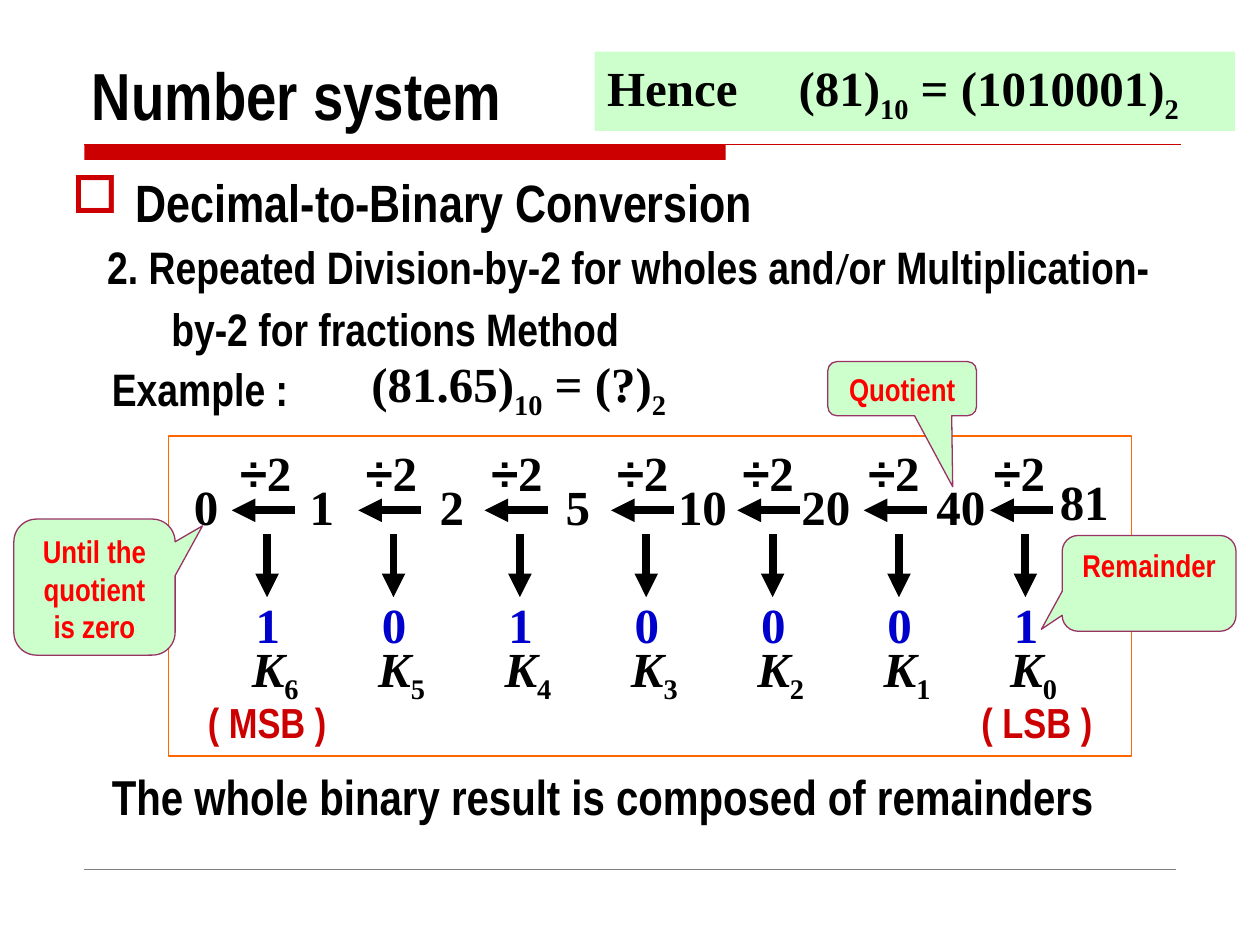
from lxml.etree import SubElement
from pptx import Presentation
from pptx.dml.color import RGBColor
from pptx.enum.shapes import MSO_CONNECTOR, MSO_SHAPE
from pptx.enum.text import MSO_ANCHOR, MSO_AUTO_SIZE, PP_ALIGN
from pptx.oxml.ns import qn
from pptx.util import Inches, Pt

BLACK = RGBColor(0x00, 0x00, 0x00)
WHITE = RGBColor(0xFF, 0xFF, 0xFF)
GRAY = RGBColor(0x80, 0x80, 0x80)
RED = RGBColor(0xCC, 0x00, 0x00)
BRIGHT_RED = RGBColor(0xFF, 0x00, 0x00)
BLUE = RGBColor(0x00, 0x00, 0xCC)
ORANGE = RGBColor(0xFF, 0x66, 0x00)
MINT = RGBColor(0xCC, 0xFF, 0xCC)
PLUM = RGBColor(0x99, 0x33, 0x66)
NARROW, SERIF, SANS = "Arial Narrow", "Times New Roman", "Arial"
MIDDLE, TOP = MSO_ANCHOR.MIDDLE, MSO_ANCHOR.TOP
LEFT, CENTER = PP_ALIGN.LEFT, PP_ALIGN.CENTER

prs = Presentation()
prs.slide_width, prs.slide_height = Inches(10), Inches(7.5)
s = prs.slides.add_slide(prs.slide_layouts[1])
shapes = s.shapes


def area(*shares):
    """Turn x, y (, width, height) in percent of the slide into lengths."""
    sides = (prs.slide_width, prs.slide_height) * 2
    return [int(side * share / 100) for side, share in zip(sides, shares)]


def write(sp, runs, size, color=BLACK, align=LEFT, anchor=MIDDLE, wrap=True):
    """Fill a shape with bold runs; "_" marks a subscript, "*" an italic."""
    tf = sp.text_frame
    tf.auto_size = MSO_AUTO_SIZE.NONE
    tf.word_wrap, tf.vertical_anchor = wrap, anchor
    p = tf.paragraphs[0]
    p.alignment = align
    for text, font, *marks in runs:
        r = p.add_run()
        r.text = text
        r.font.name, r.font.size, r.font.bold = font, Pt(size), True
        r.font.italic = "*" in marks
        r.font.color.rgb = color
        if "_" in marks:
            r.font._element.set("baseline", "-25000")
    return p


# Title and method placeholders
title, body = s.placeholders
title.left, title.top, title.width, title.height = area(6.3, 3.73, 87.5, 11.07)
write(title, [("Number system", NARROW)], 38, anchor=MSO_ANCHOR.BOTTOM)
body.left, body.top, body.width, body.height = area(7.5, 23.73, 86.2, 14.67)
p = write(body, [("2. Repeated Division-by-2 for wholes and", NARROW), ("/", SERIF),
                 ("or Multiplication-by-2 for fractions Method", NARROW)], 26, anchor=TOP)
pPr = p._p.get_or_add_pPr()
SubElement(pPr, qn("a:buNone"))
pPr.set("marL", str(Inches(0.51)))
pPr.set("indent", str(-Inches(0.51)))
p.line_spacing, p.space_before = 1.15, Pt(0)

# Section heading with a square bullet
sp = shapes.add_textbox(*area(4.7, 17.33, 87.5, 8))
p = write(sp, [("Decimal-to-Binary Conversion", NARROW)], 30, anchor=TOP)
pPr = p._p.get_or_add_pPr()
pPr.set("marL", str(Inches(0.51)))
pPr.set("indent", str(-Inches(0.51)))
SubElement(SubElement(pPr, qn("a:buClr")), qn("a:srgbClr")).set("val", str(RED))
SubElement(pPr, qn("a:buChar")).set("char", "□")

# Filled rectangles: header bar, division frame, answer
rects = []
for box, fill, line in [((6.7, 15.33, 50.9, 1.6), RED, None),
                        ((13.4, 46.13, 76.4, 33.87), WHITE, ORANGE),
                        ((47.2, 5.47, 50.8, 8.4), MINT, None)]:
    sp = shapes.add_shape(MSO_SHAPE.RECTANGLE, *area(*box))
    sp.shadow.inherit = False
    sp.fill.solid()
    sp.fill.fore_color.rgb = fill
    if line is None:
        sp.line.fill.background()
    else:
        sp.line.color.rgb, sp.line.width = line, Pt(0.75)
    rects.append(sp)
p = write(rects[-1], [("Hence\t(81)", SERIF), ("10", SERIF, "_"),
                      (" = (1010001)", SERIF), ("2", SERIF, "_")], 28)
tab = SubElement(SubElement(p._p.get_or_add_pPr(), qn("a:tabLst")), qn("a:tab"))
tab.set("pos", str(Inches(1.52)))
tab.set("algn", "l")

# Rules and division arrows: start, end, colour, weight, arrowhead
STEPS, STEP = 7, 10.03
lines = [((6.7, 15.33), (93.7, 15.33), RED, 0.75, False),
         ((6.7, 92), (93.3, 92), GRAY, 0.25, False)]
for i in range(STEPS):
    x = i * STEP
    lines.append(((23.4 + x, 54), (18.4 + x, 54), BLACK, 4.5, True))
    lines.append(((21.2 + x, 56.53), (21.2 + x, 63.2), BLACK, 4.5, True))
for start, end, color, weight, arrow in lines:
    c = shapes.add_connector(MSO_CONNECTOR.STRAIGHT, *area(*start), *area(*end))
    c.line.color.rgb, c.line.width = color, Pt(weight)
    if arrow:
        SubElement(c.line._get_or_add_ln(), qn("a:tailEnd")).set("type", "triangle")
    SubElement(c._element.spPr, qn("a:effectLst"))

# Division grid: centre, top and width of each cell
cells = []
for i, bit in enumerate("1010001"):
    x = i * STEP
    cells += [(21.1 + i * 9.97, 46.13, 7, [("÷", SANS), ("2", SERIF)], BLACK),
              (21.25 + x, 62.27, 3.9, [(bit, SERIF)], BLUE),
              (21.85 + x, 66.93, 5.7,
               [("K", SERIF, "*"), (str(STEPS - 1 - i), SERIF, "_")], BLACK)]
for number, x in [(0, 16.35), (1, 25.55), (2, 35.85), (5, 45.85),
                  (10, 55.75), (20, 65.55), (40, 76.25), (81, 86.05)]:
    cells.append((x, 49.2 if number == 81 else 49.73, 5.9, [(str(number), SERIF)], BLACK))
for x, y, w, runs, color in cells:
    h = 8.4 if len(runs[0]) == 3 else 7.6
    sp = shapes.add_textbox(*area(x - w / 2, y, w, h))
    write(sp, runs, 28, color, CENTER, wrap=False)

# Captions
for box, runs, size, color, align in [
        ((28.5, 36.8, 55.7, 8.4), [("(81.65)", SERIF), ("10", SERIF, "_"),
                                   (" = (?)", SERIF), ("2", SERIF, "_")], 28, BLACK, LEFT),
        ((14.5, 73.07, 13.4, 6.67), [("( MSB )", NARROW)], 24, RED, CENTER),
        ((75.6, 73.07, 13.4, 6.67), [("( LSB )", NARROW)], 24, RED, CENTER),
        ((7.9, 80.4, 89.8, 7.6),
         [("The whole binary result is composed of remainders", NARROW)], 28, BLACK, LEFT)]:
    write(shapes.add_textbox(*area(*box)), runs, size, color, align)
sp = shapes.add_textbox(*area(7.9, 36.4, 20, 8.27))
write(sp, [("Example :", NARROW)], 26, anchor=TOP).line_spacing = 1.2

# Callouts: box, pointer tip, text
for box, tip, text in [((65.7, 38.27, 11.8, 5.73), (0.34, 1.81), "Quotient"),
                       ((84.3, 56.67, 13.8, 10.13), (-0.62, 0.48), "Remainder"),
                       ((1.1, 54.93, 12.8, 14.4), (0.67, -0.45), "Until the quotient is zero")]:
    sp = shapes.add_shape(MSO_SHAPE.ROUNDED_RECTANGULAR_CALLOUT, *area(*box))
    sp.shadow.inherit = False
    sp.adjustments[0], sp.adjustments[1] = tip
    sp.fill.solid()
    sp.fill.fore_color.rgb = MINT
    sp.line.color.rgb, sp.line.width = PLUM, Pt(0.75)
    write(sp, [(text, NARROW)], 18, BRIGHT_RED, CENTER, TOP)

prs.save("out.pptx")
